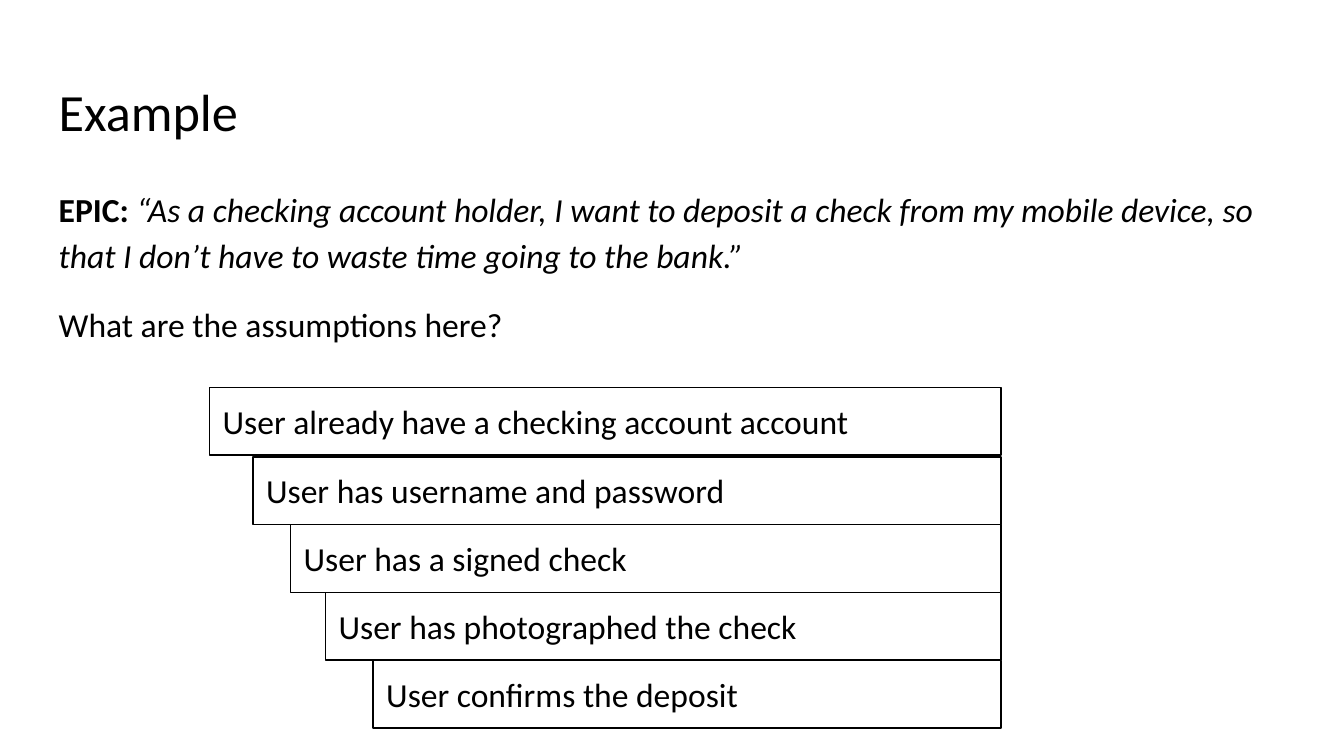
import dataclasses

import pptx
import pptx.dml.color
import pptx.enum.shapes
import pptx.enum.text
import pptx.util

Cm = pptx.util.Cm
Pt = pptx.util.Pt


@dataclasses.dataclass(frozen=True)
class Theme:
    font: str = "Calibri"
    ink: str = "000000"
    paper: str = "FFFFFF"
    title_size: float = 28
    body_size: float = 18
    line_width: float = 0.75
    inset: float = 0.25
    line_spacing: float = 1.15
    paragraph_gap: float = 12


class SlideWriter:
    """Adds styled elements to the current slide."""

    def __init__(self, page, theme):
        self.page = page
        self.theme = theme
        page.background.fill.solid()
        page.background.fill.fore_color.rgb = self.color(theme.paper)

    def color(self, value):
        return pptx.dml.color.RGBColor.from_string(value)

    def frame(self, box, anchor):
        frame = box.text_frame
        frame.word_wrap = True
        frame.auto_size = pptx.enum.text.MSO_AUTO_SIZE.NONE
        frame.vertical_anchor = anchor
        inset = Cm(self.theme.inset)
        frame.margin_left = frame.margin_right = inset
        frame.margin_top = frame.margin_bottom = inset
        return frame

    def span(self, para, text, size, bold=False, italic=False):
        para.alignment = pptx.enum.text.PP_ALIGN.LEFT
        span = para.add_run()
        span.text = text
        span.font.name = self.theme.font
        span.font.size = Pt(size)
        span.font.bold = bold
        span.font.italic = italic
        span.font.color.rgb = self.color(self.theme.ink)

    def title(self, text, left, top, width, height):
        box = self.page.shapes.title
        box.left, box.top, box.width, box.height = map(Cm, (left, top, width, height))
        para = self.frame(box, pptx.enum.text.MSO_ANCHOR.TOP).paragraphs[0]
        para.line_spacing = 1.0
        self.span(para, text, self.theme.title_size)

    def body(self, paragraphs, left, top, width, height):
        box = self.page.shapes.add_textbox(*map(Cm, (left, top, width, height)))
        frame = self.frame(box, pptx.enum.text.MSO_ANCHOR.TOP)
        for index, spans in enumerate(paragraphs):
            para = frame.add_paragraph() if index else frame.paragraphs[0]
            para.line_spacing = self.theme.line_spacing
            if index:
                para.space_before = Pt(self.theme.paragraph_gap)
            for text, bold, italic in spans:
                self.span(para, text, self.theme.body_size, bold, italic)

    def outlined_box(self, text, left, top, width, height):
        box = self.page.shapes.add_shape(
            pptx.enum.shapes.MSO_SHAPE.RECTANGLE, *map(Cm, (left, top, width, height))
        )
        box.shadow.inherit = False
        box.fill.background()
        box.line.color.rgb = self.color(self.theme.ink)
        box.line.width = Pt(self.theme.line_width)
        frame = self.frame(box, pptx.enum.text.MSO_ANCHOR.TOP)
        self.span(frame.paragraphs[0], text, self.theme.body_size)


def main():
    deck = pptx.Presentation()
    deck.slide_width, deck.slide_height = Cm(25.4), Cm(14.29)
    page = deck.slides.add_slide(deck.slide_layouts[5])
    writer = SlideWriter(page, Theme())

    margin, content_width = 0.86, 23.67
    writer.title("Example", margin, 1.24, content_width, 1.7)
    story = (
        "“As a checking account holder, I want to deposit a check from my mobile "
        "device, so that I don’t have to waste time going to the bank.”"
    )
    writer.body(
        [
            [("EPIC: ", True, False), (story, False, True)],
            [("What are the assumptions here?", False, False)],
        ],
        margin, 3.2, content_width, 3.48,
    )

    right_edge, step_height = 18.92, 1.28
    assumptions = [
        ("User already have a checking account account", 3.96, 7.32),
        ("User has username and password", 4.78, 8.64),
        ("User has a signed check", 5.49, 9.92),
        ("User has photographed the check", 6.15, 11.2),
        ("User confirms the deposit", 7.05, 12.48),
    ]
    for text, left, top in assumptions:
        writer.outlined_box(text, left, top, right_edge - left, step_height)

    deck.save("out.pptx")


if __name__ == "__main__":
    main()
